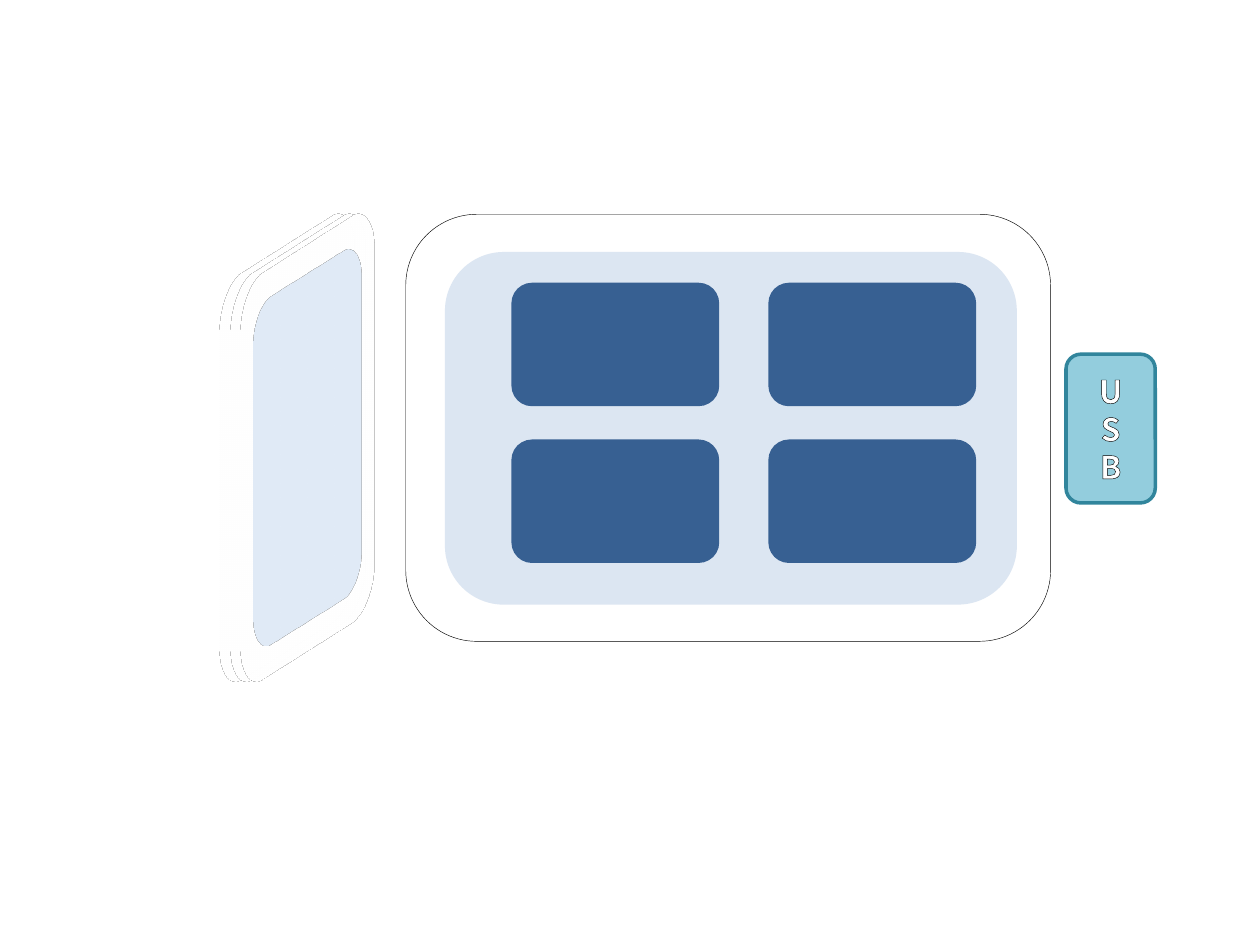
from lxml import etree
from pptx import Presentation, util as u
from pptx.dml.color import RGBColor
from pptx.enum import shapes, text
from pptx.oxml.ns import qn

# Content: left, top, width, height in cm
SHEET = dict(size=(6.2, 8.61), fill="FFFFFF", line="000000", wide=2, tilt=True)
SHEETS = [(2.69, 4.72), (2.9, 4.72), (3.1, 4.72)]
INSET = dict(at=(3.73, 5.33), size=(4.95, 7.39), fill="DCE6F2",
             line="4BACC6", wide=2, tilt=True)
CASE = dict(at=(8.18, 4.32), size=(13, 8.61), fill="FFFFFF",
            line="000000", wide=0.25)
BOARD = dict(at=(8.97, 5.08), size=(11.53, 7.11), fill="DCE6F2")
PLUG = dict(at=(21.49, 7.14), size=(1.8, 3), fill="93CDDD",
            line="31859C", wide=2)
LABEL = ["U", "S", "B"]
CHIP = dict(size=(4.19, 2.49), fill="376092")
CHIP_X, CHIP_Y = (10.31, 15.49), (5.7, 8.86)
FONT = "Noto Sans CJK KR"

deck = Presentation()
deck.slide_width, deck.slide_height = u.Cm(25.4), u.Cm(19.05)
page = deck.slides.add_slide(deck.slide_layouts[6])


def hue(code):
    return RGBColor.from_string(code)


def tilt_box(box):
    """Turn the box in space, like the right face of a block."""
    scene = etree.SubElement(box._element.spPr, qn("a:scene3d"))
    cam = etree.SubElement(scene, qn("a:camera"), prst="isometricOffAxis2Right")
    etree.SubElement(cam, qn("a:rot"), lat="1080000", lon="17760000", rev="0")
    etree.SubElement(scene, qn("a:lightRig"), rig="threePt", dir="t")


def add_box(at, size, fill, line=None, wide=1, tilt=False):
    box = page.shapes.add_shape(shapes.MSO_SHAPE.ROUNDED_RECTANGLE,
                                *(u.Cm(n) for n in (*at, *size)))
    box.shadow.inherit = False
    box.fill.solid()
    box.fill.fore_color.rgb = hue(fill)
    if line:
        box.line.color.rgb = hue(line)
        box.line.width = u.Pt(wide)
    else:
        box.line.fill.background()
    if tilt:
        tilt_box(box)
    return box


def add_text(box, rows, size=18, font=FONT, color="FFFFFF", edge="000000"):
    frame = box.text_frame
    frame.word_wrap = True
    frame.vertical_anchor = text.MSO_ANCHOR.MIDDLE
    for i, row in enumerate(rows):
        para = frame.add_paragraph() if i else frame.paragraphs[0]
        para.alignment = text.PP_ALIGN.CENTER
        para.line_spacing = u.Pt(size * 1.2)
        run = para.add_run()
        run.text = row
        run.font.name, run.font.size, run.font.bold = font, u.Pt(size), True
        run.font.color.rgb = hue(color)
        # Letter outline
        rim = etree.Element(qn("a:ln"), w=str(u.Pt(0.75)))
        fill = etree.SubElement(rim, qn("a:solidFill"))
        etree.SubElement(fill, qn("a:srgbClr"), val=edge)
        run.font._element.insert(0, rim)


# Stacked sheets around the case and board
add_box(SHEETS[0], **SHEET)
add_box(**CASE)
add_box(**BOARD)
for spot in SHEETS[1:]:
    add_box(spot, **SHEET)
add_box(**INSET)

# Plug
add_text(add_box(**PLUG), LABEL)

# Chips, two by two
for y in reversed(CHIP_Y):
    for x in reversed(CHIP_X):
        add_box((x, y), **CHIP)

deck.save("out.pptx")
